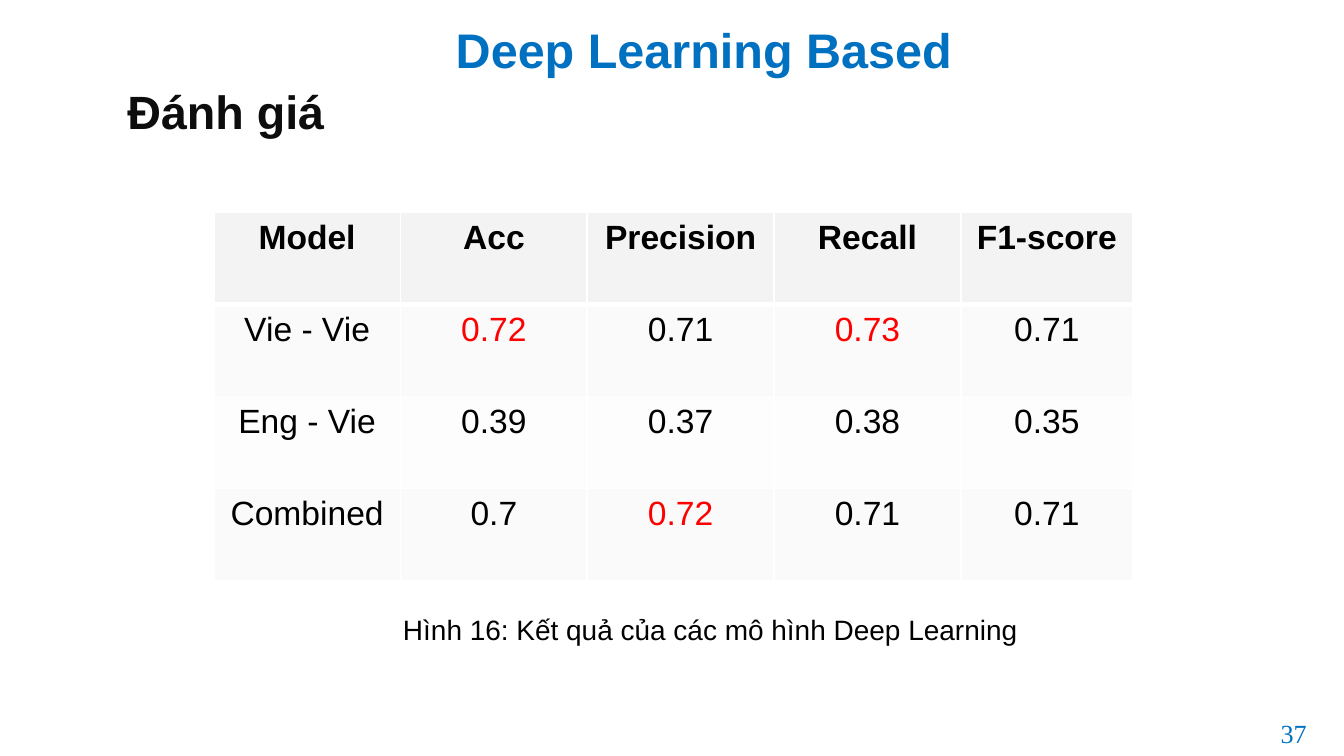
from lxml.etree import SubElement
from pptx import Presentation
from pptx.dml.color import RGBColor
from pptx.enum.text import MSO_ANCHOR, PP_ALIGN
from pptx.oxml.ns import qn
from pptx.util import Inches, Pt

# Content
TITLE = "Deep Learning Based"
HEADING = "Đánh giá"
CAPTION = "Hình 16: Kết quả của các mô hình Deep Learning"
PAGE_NUMBER = "37"
RESULTS = [
    ("Model", "Acc", "Precision", "Recall", "F1-score"),
    ("Vie - Vie", "0.72", "0.71", "0.73", "0.71"),
    ("Eng - Vie", "0.39", "0.37", "0.38", "0.35"),
    ("Combined", "0.7", "0.72", "0.71", "0.71"),
]
HIGHLIGHTS = {(1, 1), (1, 3), (3, 2)}  # (row, column) shown in red
ROW_FILLS = ["F3F3F3", "FAFAFA", "FDFDFD", "FAFAFA"]
COLUMN_WIDTHS = [1.39] * 4 + [1.28]
TABLE_HEIGHT = 2.74

BLUE, BLACK, RED = "0070C0", "000000", "FF0000"


def color(value):
    return RGBColor.from_string(value)


def write(frame, text, size, text_color, bold=False, align=PP_ALIGN.LEFT, face="Arial"):
    frame.text = text
    paragraph = frame.paragraphs[0]
    paragraph.alignment = align
    font = paragraph.font
    font.name, font.size, font.bold = face, Pt(size), bold
    font.color.rgb = color(text_color)


def add_text(box, *args, **style):
    frame = slide.shapes.add_textbox(*map(Inches, box)).text_frame
    frame.word_wrap = True
    write(frame, *args, **style)


def add_border(cell, side, width):
    line = SubElement(cell._tc.get_or_add_tcPr(), qn(f"a:ln{side}"), w=str(Pt(width)))
    fill = SubElement(line, qn("a:solidFill"))
    SubElement(fill, qn("a:srgbClr"), val="FFFFFF")


# A 16:9 slide
presentation = Presentation()
presentation.slide_width = Inches(10)
presentation.slide_height = Inches(10) * 9 // 16
slide = presentation.slides.add_slide(presentation.slide_layouts[5])

# Title
title = slide.shapes.title
title.left, title.top, title.width, title.height = map(Inches, (2.39, 0.05, 5.7, 0.8))
title_frame = title.text_frame
title_frame.vertical_anchor = MSO_ANCHOR.TOP
title_frame.margin_left = title_frame.margin_right = Inches(0.1)
title_frame.margin_top = title_frame.margin_bottom = Inches(0.1)
write(title_frame, TITLE, 26, BLUE, bold=True, align=PP_ALIGN.CENTER)

# Heading
add_text((0.85, 0.57, 7.97, 3.97), HEADING, 25, "0D0D0D", bold=True)

# Results table
table = slide.shapes.add_table(
    len(RESULTS), len(COLUMN_WIDTHS), Inches(1.59), Inches(1.58),
    Inches(sum(COLUMN_WIDTHS)), Inches(TABLE_HEIGHT)).table
for column, width in zip(table.columns, COLUMN_WIDTHS):
    column.width = Inches(width)
for row in table.rows:
    row.height = Inches(TABLE_HEIGHT / len(RESULTS))

for r, values in enumerate(RESULTS):
    for c, value in enumerate(values):
        cell = table.cell(r, c)
        for side in "LRTB":
            # A thicker line separates the header from the body
            at_header_edge = (r, side) in {(0, "B"), (1, "T")}
            add_border(cell, side, 3 if at_header_edge else 1)
        cell.fill.solid()
        cell.fill.fore_color.rgb = color(ROW_FILLS[r])
        write(cell.text_frame, value, 18, RED if (r, c) in HIGHLIGHTS else BLACK,
              bold=r == 0, align=PP_ALIGN.CENTER)

# Caption and page number
add_text((2.9, 4.51, 5.32, 0.35), CAPTION, 15, BLACK)
add_text((9.43, 5.29, 0.45, 0.34), PAGE_NUMBER, 14, BLUE, face="Times New Roman")

presentation.save("out.pptx")
